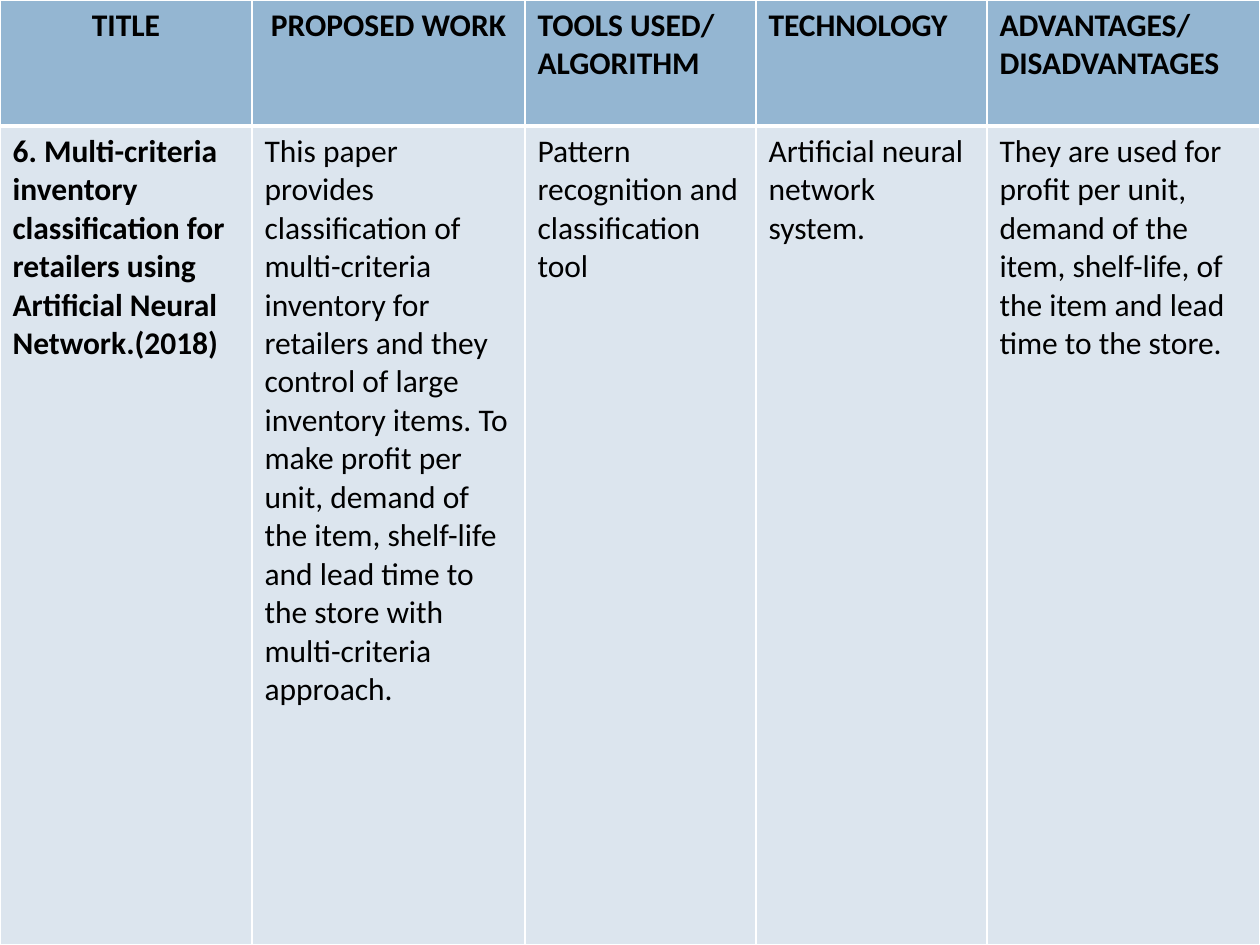
from dataclasses import dataclass

import lxml.etree
import pptx
import pptx.dml.color
import pptx.enum.text
import pptx.oxml.ns
import pptx.table
import pptx.util

RGBColor = pptx.dml.color.RGBColor
PP_ALIGN = pptx.enum.text.PP_ALIGN
qn = pptx.oxml.ns.qn

PX_PER_INCH = 126
SLIDE_W, SLIDE_H = 1260, 945
HEADER_H = 126
THIN, THICK = 1, 3

BLACK = RGBColor(0x00, 0x00, 0x00)
WHITE = RGBColor(0xFF, 0xFF, 0xFF)
HEADER_BLUE = RGBColor(0x94, 0xB6, 0xD2)
BODY_BLUE = RGBColor(0xDC, 0xE5, 0xEE)


@dataclass(frozen=True)
class Column:
    width: int
    heading: str
    body: str
    heading_align: PP_ALIGN = PP_ALIGN.LEFT
    body_bold: bool = False


COLUMNS = [
    Column(252, "TITLE",
           "6. Multi-criteria inventory classification for retailers using "
           "Artificial Neural Network.(2018)",
           PP_ALIGN.CENTER, True),
    Column(273, "PROPOSED WORK",
           "This paper provides classification of multi-criteria inventory for "
           "retailers and they control of large inventory items. To make profit "
           "per unit, demand of the item, shelf-life and lead time to the store "
           "with multi-criteria approach.",
           PP_ALIGN.CENTER),
    Column(231, "TOOLS USED/ ALGORITHM",
           "Pattern recognition and classification tool"),
    Column(231, "TECHNOLOGY", "Artificial neural network system."),
    Column(273, "ADVANTAGES/ DISADVANTAGES",
           "They are used for profit per unit, demand of the item, shelf-life, "
           "of the item and lead time to the store."),
]


def px(n: int) -> pptx.util.Emu:
    return pptx.util.Emu(round(n * 914400 / PX_PER_INCH))


def set_borders(cell: pptx.table._Cell, top: int, bottom: int) -> None:
    tc_pr = cell._tc.get_or_add_tcPr()
    for side, width in (("L", THIN), ("R", THIN), ("T", top), ("B", bottom)):
        ln = lxml.etree.SubElement(tc_pr, qn(f"a:ln{side}"), w=str(pptx.util.Pt(width)))
        fill = lxml.etree.SubElement(ln, qn("a:solidFill"))
        lxml.etree.SubElement(fill, qn("a:srgbClr"), val=str(WHITE))


def write_cell(cell: pptx.table._Cell, text: str, fill: RGBColor, bold: bool,
               align: PP_ALIGN) -> None:
    cell.fill.solid()
    cell.fill.fore_color.rgb = fill
    p = cell.text_frame.paragraphs[0]
    p.alignment = align
    r = p.add_run()
    r.text = text
    r.font.name = "Calibri"
    r.font.size = pptx.util.Pt(18)
    r.font.bold = bold
    r.font.color.rgb = BLACK


def main() -> None:
    prs = pptx.Presentation()
    prs.slide_width, prs.slide_height = px(SLIDE_W), px(SLIDE_H)
    s = prs.slides.add_slide(prs.slide_layouts[6])
    table = s.shapes.add_table(2, len(COLUMNS), 0, 0, px(SLIDE_W), px(SLIDE_H)).table
    table.horz_banding = False
    table.rows[0].height = px(HEADER_H)
    table.rows[1].height = px(SLIDE_H - HEADER_H)

    for i, column in enumerate(COLUMNS):
        table.columns[i].width = px(column.width)
        heading, body = table.cell(0, i), table.cell(1, i)
        set_borders(heading, THIN, THICK)
        set_borders(body, THICK, THIN)
        write_cell(heading, column.heading, HEADER_BLUE, True, column.heading_align)
        write_cell(body, column.body, BODY_BLUE, column.body_bold, PP_ALIGN.LEFT)

    prs.save("out.pptx")


if __name__ == "__main__":
    main()
